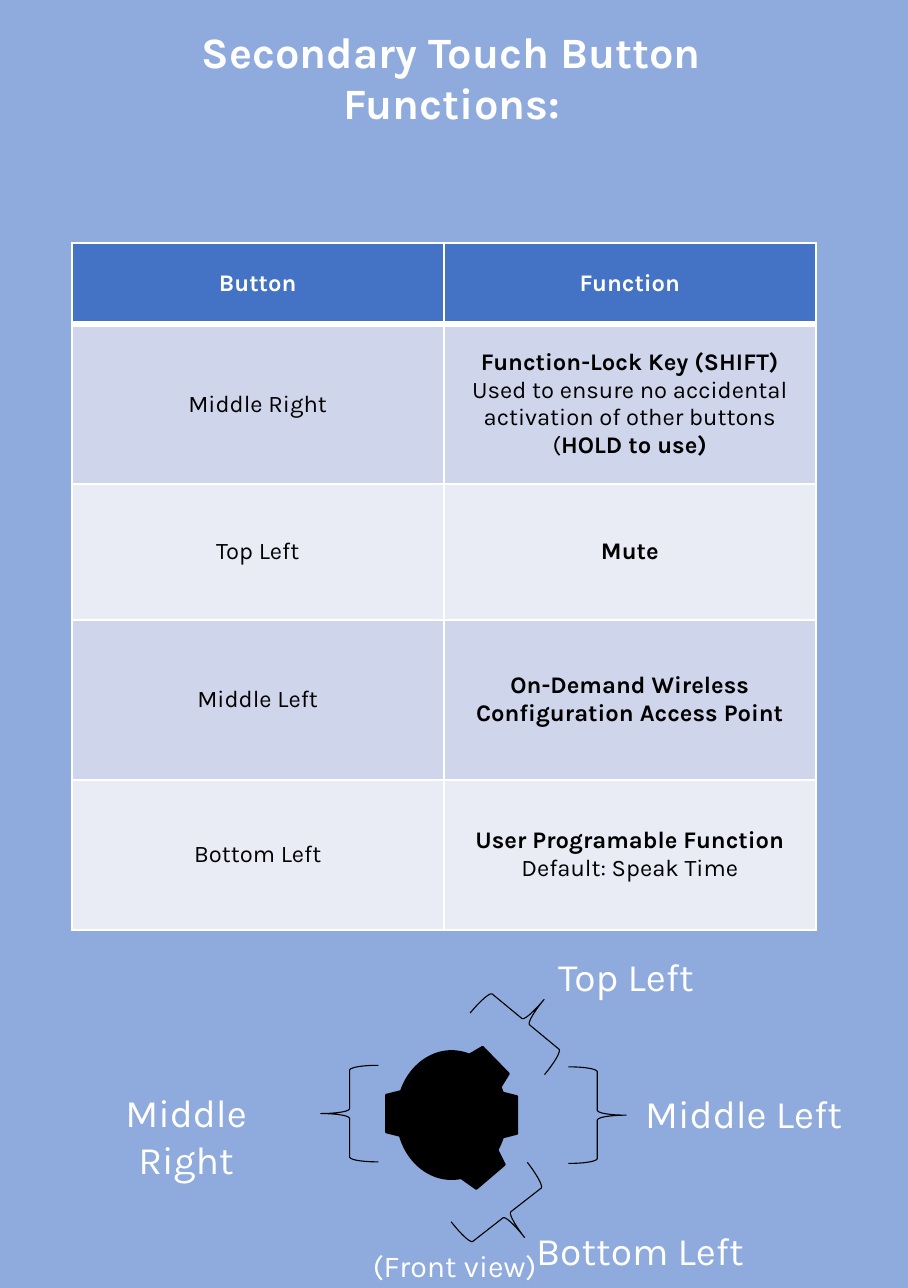
from lxml import etree
from pptx import Presentation
from pptx import util as u
from pptx.dml.color import RGBColor
from pptx.enum import shapes, text
from pptx.oxml import ns

WHITE, BLACK, SKY, BLUE = "FFFFFF", "000000", "8FAADC", "4472C4"
BANDS = ["CFD5EA", "E9EBF5"]


def color(hex_string):
    """Turn a hex string into a colour."""
    return RGBColor.from_string(hex_string)


class Page:
    """Hold the style and the current slide."""

    font = "Karla"

    def __init__(self, deck, background):
        """Add a blank slide with a plain background."""
        self.slide = deck.slides.add_slide(deck.slide_layouts[6])
        self.slide.background.fill.solid()
        self.slide.background.fill.fore_color.rgb = color(background)

    def style(self, run, size, ink, bold):
        """Format one run."""
        run.font.name = self.font
        run.font.size = u.Pt(size)
        run.font.bold = bold
        run.font.color.rgb = color(ink)

    def label(self, box, words, size, bold=False):
        """Add a centred white text box."""
        frame = self.slide.shapes.add_textbox(*map(u.Inches, box)).text_frame
        frame.word_wrap = True
        frame.auto_size = text.MSO_AUTO_SIZE.SHAPE_TO_FIT_TEXT
        frame.text = words
        paragraph = frame.paragraphs[0]
        paragraph.alignment = text.PP_ALIGN.CENTER
        self.style(paragraph.runs[0], size, WHITE, bold)

    def outline(self, kind, box, rotation=0, fill=None, weight=1):
        """Add a black-lined preset shape."""
        part = self.slide.shapes.add_shape(kind, *map(u.Inches, box))
        part.rotation = rotation
        part.shadow.inherit = False
        part.line.color.rgb = color(BLACK)
        part.line.width = u.Pt(weight)
        if fill:
            part.fill.solid()
            part.fill.fore_color.rgb = color(fill)
        else:
            part.fill.background()

    def borders(self, cell, bottom):
        """Draw white borders around a cell, the bottom one as wide as asked."""
        properties = cell._tc.get_or_add_tcPr()
        sides = [("lnL", 1), ("lnR", 1), ("lnT", 1), ("lnB", bottom)]
        for position, (side, weight) in enumerate(sides):
            edge = etree.Element(ns.qn(f"a:{side}"), w=str(u.Pt(weight)))
            solid = etree.SubElement(edge, ns.qn("a:solidFill"))
            etree.SubElement(solid, ns.qn("a:srgbClr"), val=WHITE)
            properties.insert(position, edge)

    def cell(self, cell, paragraphs, fill, ink, bottom=1):
        """Fill a table cell with paragraphs of (words, bold) pieces."""
        cell.fill.solid()
        cell.fill.fore_color.rgb = color(fill)
        self.borders(cell, bottom)
        cell.vertical_anchor = text.MSO_ANCHOR.MIDDLE
        cell.margin_left = cell.margin_right = u.Inches(0.08)
        cell.margin_top = cell.margin_bottom = u.Inches(0.04)
        for index, pieces in enumerate(paragraphs):
            frame = cell.text_frame
            paragraph = frame.add_paragraph() if index else frame.paragraphs[0]
            paragraph.alignment = text.PP_ALIGN.CENTER
            for words, bold in pieces:
                run = paragraph.add_run()
                run.text = words
                self.style(run, 11, ink, bold)

    def table(self, box, heights, headings, rows):
        """Add a banded table with a blue heading row."""
        grid = self.slide.shapes.add_table(
            len(heights), len(headings), *map(u.Inches, box)).table
        for row, height in zip(grid.rows, heights):
            row.height = u.Inches(height)
        for column, heading in enumerate(headings):
            self.cell(grid.cell(0, column), [[(heading, True)]], BLUE, WHITE, 3)
        for index, (button, function) in enumerate(rows):
            band = BANDS[index % 2]
            self.cell(grid.cell(index + 1, 0), [[(button, False)]], band, BLACK)
            self.cell(grid.cell(index + 1, 1), function, band, BLACK)


FUNCTIONS = [
    ("Middle Right", [
        [("Function-Lock Key (SHIFT)", True)],
        [("Used to ensure no accidental activation of other buttons", False)],
        [("(", False), ("HOLD to use)", True)],
    ]),
    ("Top Left", [[("Mute", True)]]),
    ("Middle Left", [[("On-Demand Wireless Configuration Access Point", True)]]),
    ("Bottom Left", [
        [("User Programable Function", True)],
        [("Default: Speak Time", False)],
    ]),
]
BRACES = [(2.06, 6.84, 0), (3.07, 7.49, 232.1), (3.19, 6.25, 129.6), (3.65, 6.85, 180)]
BUTTONS = [(2.39, 7.09, 270), (2.99, 6.79, 45.8), (3.11, 7.1, 90), (2.96, 7.45, 139.5)]
BUTTON_LABELS = [
    ("Middle Right", 0.4, 6.94, 1.59),
    ("Top Left", 3.39, 6.07, 1.26),
    ("Middle Left", 4.02, 6.95, 1.51),
    ("Bottom Left", 3.01, 7.83, 2.2),
]


def main():
    """Build the page and save it."""
    deck = Presentation()
    deck.slide_width, deck.slide_height = u.Inches(5.83), u.Inches(8.27)
    page = Page(deck, SKY)
    page.label((0.51, 0.11, 4.78, 0.44), "Secondary Touch Button Functions:", 20, True)
    page.table((0.46, 1.56, 4.78, 4.41), [0.52, 1.03, 0.87, 1.03, 0.96],
               ["Button", "Function"], FUNCTIONS)
    preset = shapes.MSO_SHAPE
    page.outline(preset.OVAL, (2.55, 6.75, 0.7, 0.82), fill=BLACK)
    for left, top, rotation in BRACES:
        page.outline(preset.LEFT_BRACE, (left, top, 0.37, 0.62), rotation, weight=0.5)
    for words, left, top, width in BUTTON_LABELS:
        page.label((left, top, width, 0.4), words, 18)
    for left, top, rotation in BUTTONS:
        page.outline(preset.TRAPEZOID, (left, top, 0.3, 0.12), rotation, BLACK)
    page.label((2.2, 7.96, 1.44, 0.34), "(Front view)", 14)
    deck.save("out.pptx")


if __name__ == "__main__":
    main()
